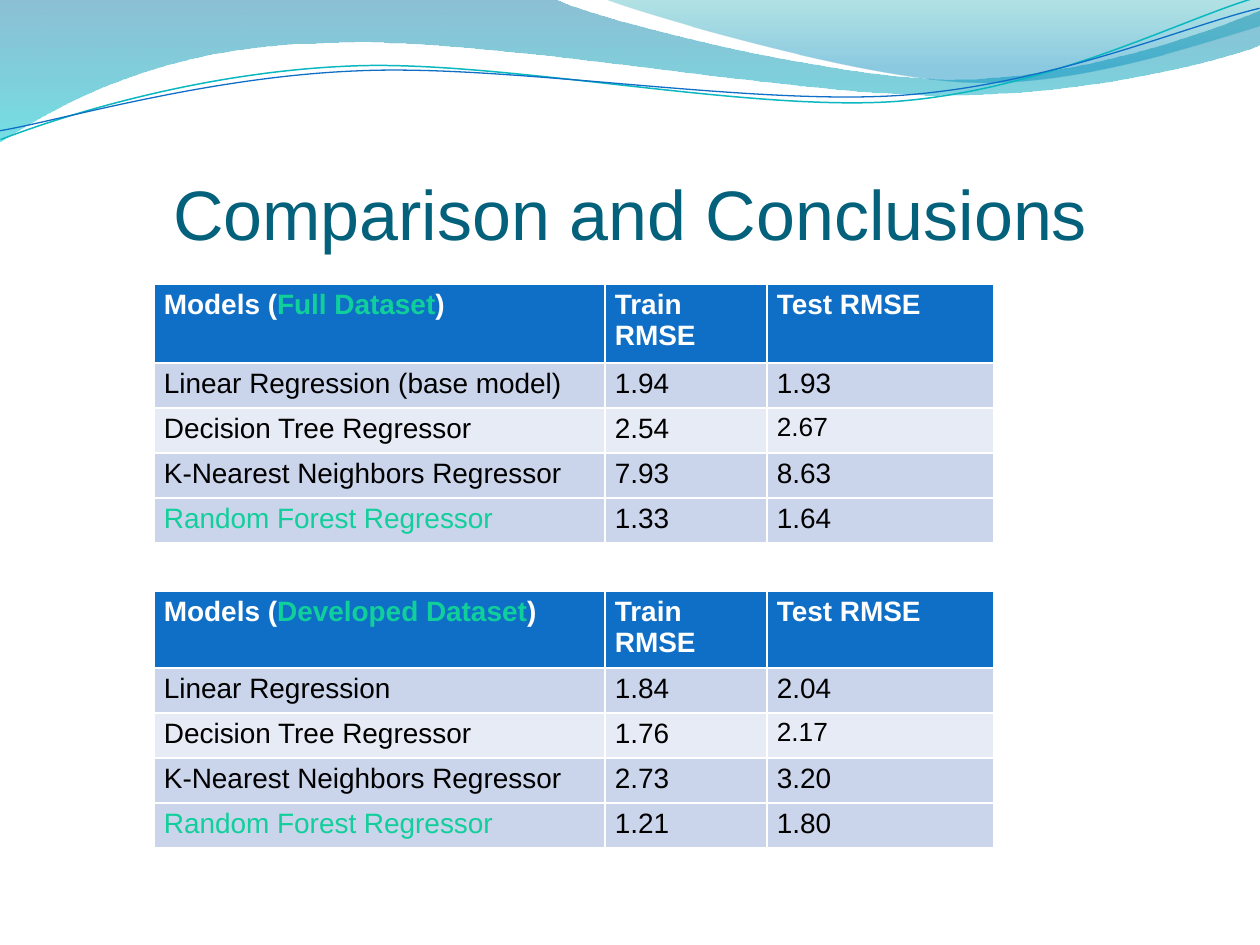
from pptx import Presentation
from pptx.dml.color import RGBColor
from pptx.enum.text import MSO_ANCHOR, PP_ALIGN
from pptx.oxml import parse_xml
from pptx.oxml.ns import nsdecls, qn
from pptx.util import Pt

PX = 914400 // 126
FONT = "Arial"
WHITE, BLACK, BLUE, GREEN = "FFFFFF", "000000", "0F6FC6", "10CF9B"
ROW_FILLS = [BLUE, "CAD4EA", "E6EBF5", "CAD4EA", "CAD4EA"]

TITLE = "Comparison and Conclusions"
SCORES = ["Train RMSE", "Test RMSE"]
COLUMNS = [451, 162, 227]
ROW_HEIGHT = 45
TABLE_LEFT, TABLE_HEIGHT = 154, 258
TABLES = [
    (284, 79, "Full Dataset", [
        ("Linear Regression (base model)", "1.94", "1.93"),
        ("Decision Tree Regressor", "2.54", "2.67"),
        ("K-Nearest Neighbors Regressor", "7.93", "8.63"),
        ("Random Forest Regressor", "1.33", "1.64"),
    ]),
    (591, 0, "Developed Dataset", [
        ("Linear Regression", "1.84", "2.04"),
        ("Decision Tree Regressor", "1.76", "2.17"),
        ("K-Nearest Neighbors Regressor", "2.73", "3.20"),
        ("Random Forest Regressor", "1.21", "1.80"),
    ]),
]
BEST_MODEL = "Random Forest Regressor"
SMALL_SCORES = "2.67", "2.17"

WAVES = [
    ([("0074A1", 45, 0), ("00C6CF", 55, 1)], [
        [(0, 0)], [(554, -1)],
        [(600, 21), (837, 79), (955, 79)],
        [(1075, 79), (1207, 33), (1260, 11)], [(1261, 45)],
        [(1239, 55), (1096, 96), (940, 95)],
        [(784, 95), (481, 35), (324, 43)],
        [(163, 45), (58, 105), (-1, 142)], [(0, 0)],
    ]),
    ([("00A1A9", 30, 0), ("008BBF", 45, 0.8)], [
        [(604, -1)],
        [(641, 14), (859, 78), (969, 82)],
        [(1079, 87), (1211, 40), (1260, 26)], [(1260, 0)], [(604, -1)],
    ]),
]
RIPPLE_ANGLE = 357.3
RIPPLES = [
    ("0AB8BF", 0.85, [
        [(-2, 110)],
        [(58, 90), (199, 52), (350, 53)],
        [(499, 53), (745, 118), (896, 114)],
        [(1049, 109), (1184, 45), (1260, 27)],
    ]),
    (BLUE, 0.75, [
        [(-2, 101)],
        [(57, 94), (207, 57), (357, 58)],
        [(509, 58), (750, 112), (902, 108)],
        [(1052, 104), (1187, 52), (1262, 38)],
    ]),
]


def color(value):
    return RGBColor.from_string(value)


def add_outline(shapes, path, close):
    anchors = [part[-1] for part in path]
    builder = shapes.build_freeform(*anchors[0], scale=PX)
    builder.add_line_segments(anchors[1:], close=close)
    outline = builder.convert_to_shape()
    outline.shadow.inherit = False
    left, top = (min(axis) for axis in zip(*anchors))
    lines = list(outline._element.spPr.iter(qn("a:lnTo")))
    for line, part in zip(lines, path[1:]):
        if len(part) == 3:
            points = "".join(f'<a:pt x="{x - left}" y="{y - top}"/>' for x, y in part)
            curve = parse_xml(f'<a:cubicBezTo {nsdecls("a")}>{points}</a:cubicBezTo>')
            line.getparent().replace(line, curve)
    return outline


def add_wave(shapes, stops, path):
    wave = add_outline(shapes, path, True)
    wave.line.fill.background()
    wave.fill.gradient()
    wave.fill.gradient_angle = 270
    for stop, (shade, _, position) in zip(wave.fill.gradient_stops, stops):
        stop.color.rgb = color(shade)
        stop.position = position
    for node, (_, opacity, _) in zip(wave._element.spPr.iter(qn("a:srgbClr")), stops):
        node.append(parse_xml(f'<a:alpha {nsdecls("a")} val="{opacity * 1000}"/>'))


def add_ripple(shapes, shade, width, path):
    ripple = add_outline(shapes, path, False)
    ripple.rotation = RIPPLE_ANGLE
    ripple.fill.background()
    ripple.line.color.rgb = color(shade)
    ripple.line.width = Pt(width)


def add_title(shapes):
    box = shapes.add_textbox(63 * PX, 97 * PX, 1134 * PX, 158 * PX)
    frame = box.text_frame
    frame.word_wrap = True
    frame.vertical_anchor = MSO_ANCHOR.BOTTOM
    frame.margin_left = frame.margin_right = frame.margin_bottom = 0
    frame.margin_top = 6 * PX
    heading = frame.paragraphs[0]
    heading.text = TITLE
    heading.alignment = PP_ALIGN.CENTER
    heading.font.name, heading.font.size = FONT, Pt(40)
    heading.font.color.rgb = color("04617B")


def write_cell(cell, runs, fill, size, bold):
    cell.fill.solid()
    cell.fill.fore_color.rgb = color(fill)
    cell.margin_left = cell.margin_right = 10 * PX
    cell.margin_top = cell.margin_bottom = 5 * PX
    paragraph = cell.text_frame.paragraphs[0]
    paragraph.font.name, paragraph.font.size, paragraph.font.bold = FONT, Pt(size), bold
    for text, shade in runs:
        run = paragraph.add_run()
        run.text = text
        run.font.color.rgb = color(shade)


def add_scores(shapes, top, header_height, dataset, models):
    heights = [header_height] + [ROW_HEIGHT] * len(models)
    holder = shapes.add_table(
        len(heights), len(COLUMNS), TABLE_LEFT * PX, top * PX,
        sum(COLUMNS) * PX, TABLE_HEIGHT * PX)
    table = holder.table
    for column, width in zip(table.columns, COLUMNS):
        column.width = width * PX
    for row, height in zip(table.rows, heights):
        row.height = height * PX
    holder.height = TABLE_HEIGHT * PX
    header = [[("Models (", WHITE), (dataset, GREEN), (")", WHITE)]]
    header += [[(score, WHITE)] for score in SCORES]
    body = [[[(text, GREEN if text == BEST_MODEL else BLACK)] for text in model] for model in models]
    for r, (line, fill) in enumerate(zip([header] + body, ROW_FILLS)):
        for c, runs in enumerate(line):
            size = 15 if runs[0][0] in SMALL_SCORES else 16
            write_cell(table.cell(r, c), runs, fill, size, r == 0)


def main():
    deck = Presentation()
    deck.slide_width, deck.slide_height = 1260 * PX, 945 * PX
    shapes = deck.slides.add_slide(deck.slide_layouts[6]).shapes
    for wave in WAVES:
        add_wave(shapes, *wave)
    ripples = shapes.add_group_shape().shapes
    for ripple in RIPPLES:
        add_ripple(ripples, *ripple)
    add_title(shapes)
    for scores in TABLES:
        add_scores(shapes, *scores)
    deck.save("out.pptx")


if __name__ == "__main__":
    main()
